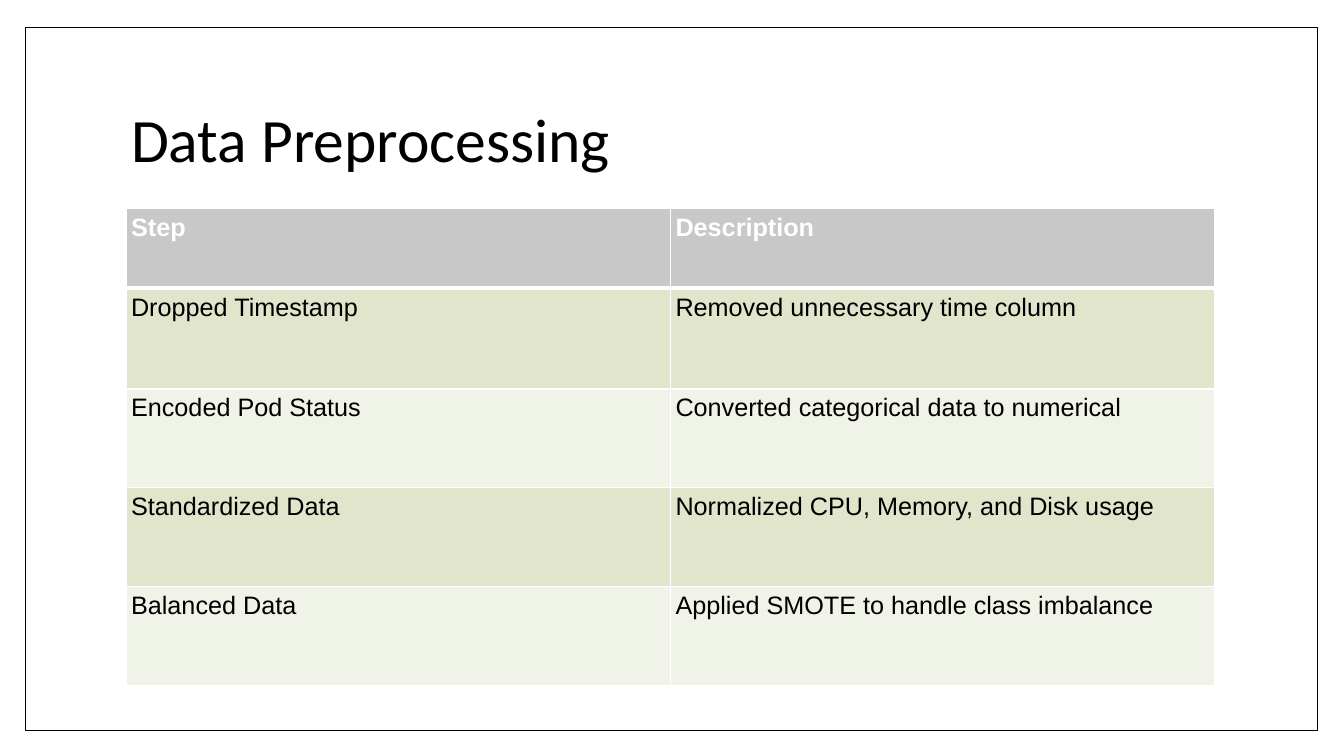
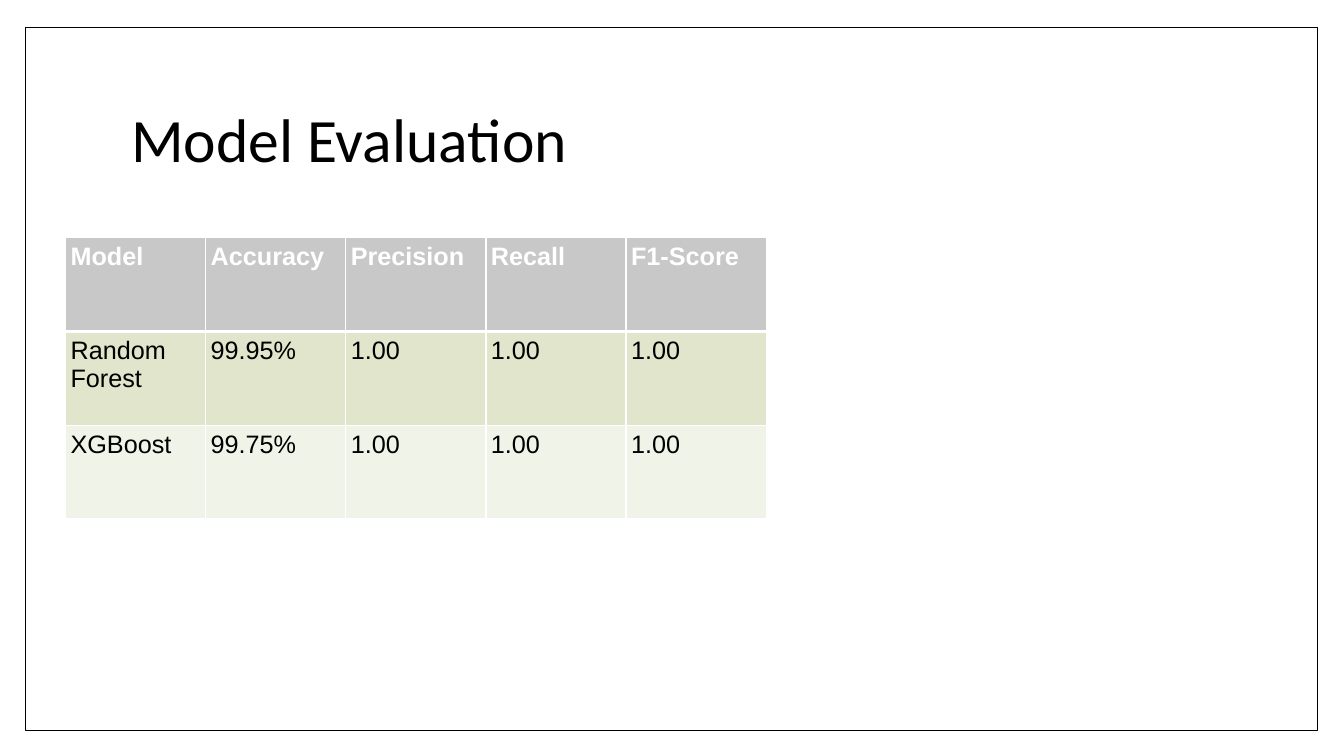
"""Build the data preprocessing and model evaluation slides."""
from dataclasses import dataclass

from lxml import etree
from pptx import Presentation
from pptx.dml.color import RGBColor
from pptx.enum import shapes, text
from pptx.oxml import ns
from pptx.slide import Slide, SlideLayout
from pptx.table import _Cell as Cell
from pptx.util import Inches, Pt

BLACK = RGBColor(0x00, 0x00, 0x00)
WHITE = RGBColor(0xFF, 0xFF, 0xFF)
HEADER_GRAY = RGBColor(0xC8, 0xC8, 0xC8)
BAND_DARK = RGBColor(0xE0, 0xE5, 0xCB)
BAND_LIGHT = RGBColor(0xF0, 0xF3, 0xE7)
TITLE_FONT = "Calibri"
TABLE_FONT = "Arial"
INSET = Inches(0.05)
THIN, THICK = Pt(1), Pt(3)
TITLE_ONLY = 5


@dataclass(frozen=True)
class TableSlide:
    title: str
    left: float
    top: float
    column_width: float
    row_heights: list[float]
    rows: list[list[str]]


TABLE_SLIDES = [
    TableSlide(
        "Data Preprocessing", 1.25, 2.07, 5.4, [0.79, 1, 0.98, 0.98, 0.98],
        [
            ["Step", "Description"],
            ["Dropped Timestamp", "Removed unnecessary time column"],
            ["Encoded Pod Status", "Converted categorical data to numerical"],
            ["Standardized Data", "Normalized CPU, Memory, and Disk usage"],
            ["Balanced Data", "Applied SMOTE to handle class imbalance"],
        ],
    ),
    TableSlide(
        "Model Evaluation", 0.65, 2.36, 1.39, [0.93] * 3,
        [
            ["Model", "Accuracy", "Precision", "Recall", "F1-Score"],
            ["Random Forest", "99.95%", "1.00", "1.00", "1.00"],
            ["XGBoost", "99.75%", "1.00", "1.00", "1.00"],
        ],
    ),
]


def add_frame(slide: Slide, layout: SlideLayout) -> None:
    """Draw the page frame and move it to the back of the shared layout."""
    frame = slide.shapes.add_shape(
        shapes.MSO_SHAPE.RECTANGLE,
        Inches(0.25), Inches(0.27), Inches(12.82), Inches(6.98),
    )
    frame.shadow.inherit = False
    frame.fill.solid()
    frame.fill.fore_color.rgb = WHITE
    frame.line.color.rgb = BLACK
    frame.line.width = THIN
    layout.shapes.element.insert(2, frame.element)


def set_title(slide: Slide, wording: str) -> None:
    """Place and format the title placeholder."""
    title = slide.shapes.title
    title.left, title.top = Inches(1.25), Inches(0.67)
    title.width, title.height = Inches(10.8), Inches(1.48)
    frame = title.text_frame
    frame.text = wording
    frame.word_wrap = True
    frame.auto_size = text.MSO_AUTO_SIZE.NONE
    frame.vertical_anchor = text.MSO_ANCHOR.MIDDLE
    frame.margin_left = frame.margin_right = INSET
    frame.margin_top = frame.margin_bottom = INSET
    paragraph = frame.paragraphs[0]
    paragraph.alignment = text.PP_ALIGN.LEFT
    paragraph.line_spacing = 0.9
    paragraph.font.name = TITLE_FONT
    paragraph.font.size = Pt(44)
    paragraph.font.color.rgb = BLACK


def set_borders(cell: Cell, top: int, bottom: int) -> None:
    """Give a cell white borders, placed before its fill."""
    properties = cell._tc.get_or_add_tcPr()
    widths = {"a:lnL": THIN, "a:lnR": THIN, "a:lnT": top, "a:lnB": bottom}
    for position, (tag, width) in enumerate(widths.items()):
        border = etree.Element(ns.qn(tag), w=str(int(width)))
        fill = etree.SubElement(border, ns.qn("a:solidFill"))
        etree.SubElement(fill, ns.qn("a:srgbClr"), val=str(WHITE))
        properties.insert(position, border)


def format_cell(cell: Cell, wording: str, row: int) -> None:
    """Fill in one cell, styled by its row number."""
    is_header = row == 0
    cell.text = wording
    cell.margin_left = cell.margin_right = INSET
    cell.margin_top = cell.margin_bottom = INSET
    cell.fill.solid()
    band = BAND_DARK if row % 2 else BAND_LIGHT
    cell.fill.fore_color.rgb = HEADER_GRAY if is_header else band
    font = cell.text_frame.paragraphs[0].font
    font.name = TABLE_FONT
    font.size = Pt(18)
    font.bold = is_header
    font.color.rgb = WHITE if is_header else BLACK
    set_borders(cell, THICK if row == 1 else THIN, THICK if is_header else THIN)


def add_table(slide: Slide, content: TableSlide) -> None:
    """Add the slide's table with equal columns and banded rows."""
    column_count = len(content.rows[0])
    table = slide.shapes.add_table(
        len(content.rows), column_count,
        Inches(content.left), Inches(content.top),
        Inches(content.column_width * column_count),
        Inches(sum(content.row_heights)),
    ).table
    for column in table.columns:
        column.width = Inches(content.column_width)
    for row, (height, wordings) in enumerate(zip(content.row_heights, content.rows)):
        table.rows[row].height = Inches(height)
        for column, wording in enumerate(wordings):
            format_cell(table.cell(row, column), wording, row)


def main() -> None:
    """Build and save the presentation."""
    presentation = Presentation()
    presentation.slide_width = Inches(13.33)
    presentation.slide_height = Inches(7.5)
    layout = presentation.slide_layouts[TITLE_ONLY]
    for content in TABLE_SLIDES:
        slide = presentation.slides.add_slide(layout)
        set_title(slide, content.title)
        add_table(slide, content)
    add_frame(presentation.slides[0], layout)
    presentation.save("out.pptx")


if __name__ == "__main__":
    main()
